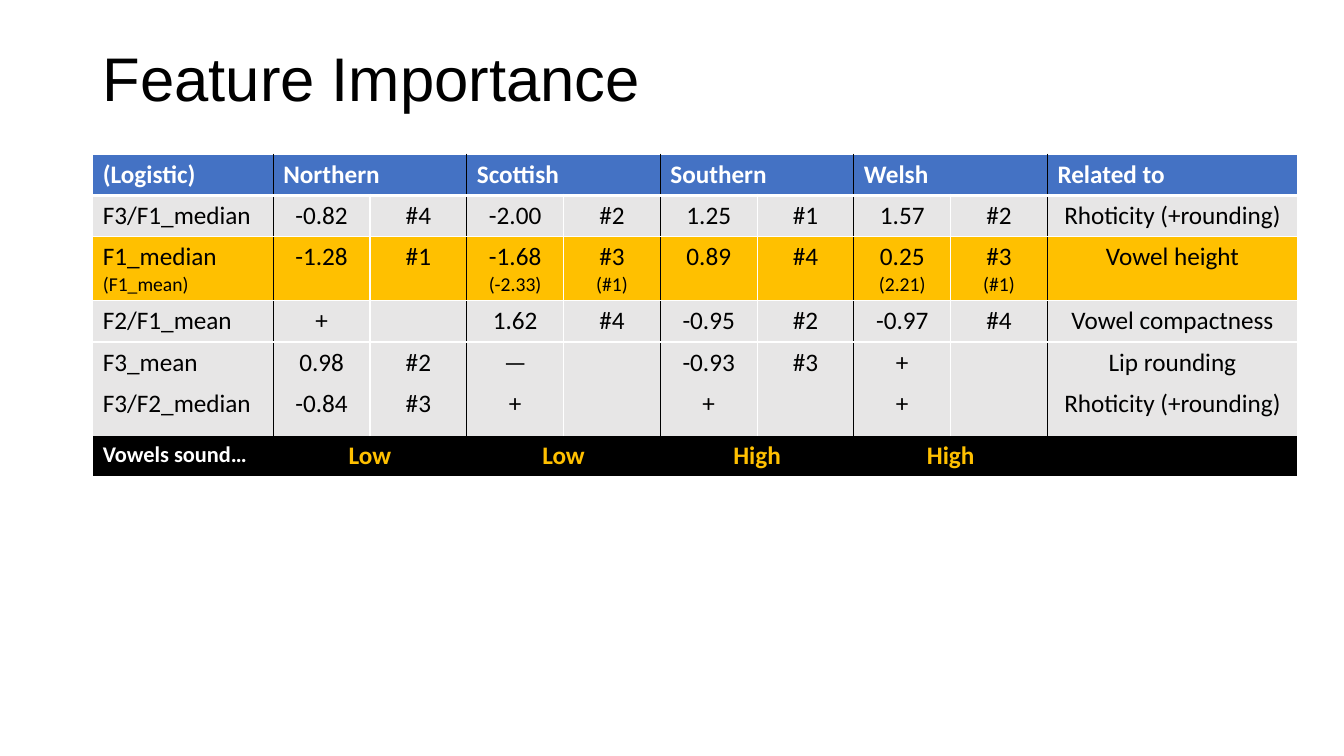
from pptx import Presentation
from pptx.dml.color import RGBColor
from pptx.enum.text import MSO_ANCHOR as Anchor, PP_ALIGN as Align
from pptx.oxml.ns import qn
from pptx.util import Inches, Pt
from lxml.etree import SubElement as Sub

BLACK, WHITE, GOLD = "000000", "FFFFFF", "FFC000"
BLUE, GREY = "4472C4", "E7E6E6"
WIDTHS = [1.79] + [0.96] * 8 + [2.48]
HEIGHTS = [0.41, 0.41, 0.63, 0.41, 0.41, 0.52, 0.41]
FILLS = [BLUE, GREY, GOLD, GREY, GREY, GREY, BLACK]
RULES = [1, 3, 1, 1, 1, 0, 0, 1]
ROWS = [
    ["(Logistic)", "Northern", "", "Scottish", "", "Southern", "", "Welsh", "",
     "Related to"],
    ["F3/F1_median", "-0.82", "#4", "-2.00", "#2", "1.25", "#1", "1.57", "#2",
     "Rhoticity (+rounding)"],
    ["F1_median\n(F1_mean)", "-1.28", "#1", "-1.68\n(-2.33)", "#3\n(#1)",
     "0.89", "#4", "0.25\n(2.21)", "#3\n(#1)", "Vowel height"],
    ["F2/F1_mean", "+", "", "1.62", "#4", "-0.95", "#2", "-0.97", "#4",
     "Vowel compactness"],
    ["F3_mean", "0.98", "#2", "—", "", "-0.93", "#3", "+", "", "Lip rounding"],
    ["F3/F2_median", "-0.84", "#3", "+", "", "+", "", "+", "",
     "Rhoticity (+rounding)"],
    ["Vowels sound…", "Low", "", "Low", "", "High", "", "High", "", ""],
]
HEAD, FOOT, END = 0, len(ROWS) - 1, len(WIDTHS) - 1


def paint(code):
    return RGBColor.from_string(code)


class Page:
    """Holds the fonts and the current slide, and adds elements to it."""

    title_font, body_font = "Arial", "Calibri"

    def __init__(self, slide):
        self.slide = slide

    def style(self, para, font, size, color, bold=False, align=Align.LEFT):
        para.alignment = align
        for run in para.runs:
            run.font.name, run.font.size = font, Pt(size)
            run.font.bold, run.font.color.rgb = bold, paint(color)

    def title(self, text, left, top, width, height):
        box = self.slide.shapes.add_textbox(
            Inches(left), Inches(top), Inches(width), Inches(height))
        frame = box.text_frame
        frame.word_wrap = True
        frame.vertical_anchor = Anchor.MIDDLE
        frame.text = text
        para = frame.paragraphs[0]
        para.line_spacing = 0.9
        self.style(para, self.title_font, 44, BLACK)

    def border(self, cell, side, color, width):
        props = cell._tc.get_or_add_tcPr()
        line = Sub(props, qn("a:ln" + side), w=str(Pt(width)))
        if width:
            fill = Sub(line, qn("a:solidFill"))
            Sub(fill, qn("a:srgbClr"), val=color)
        else:
            Sub(line, qn("a:noFill"))

    def frame(self, cell, row, col):
        pair = row in (HEAD, FOOT)
        left = BLACK if col > 0 and (pair or col % 2 == 1) else WHITE
        right = BLACK if col < END and (pair or col % 2 == 0) else WHITE
        self.border(cell, "L", left, 1)
        self.border(cell, "R", right, 1)
        self.border(cell, "T", WHITE, RULES[row])
        self.border(cell, "B", WHITE, RULES[row + 1])

    def label(self, cell, text, row, col):
        size, color, bold = 18, BLACK, row in (HEAD, FOOT)
        if row == HEAD:
            color = WHITE
        elif row == FOOT:
            size, color = (18, GOLD) if col else (16, WHITE)
        align = Align.CENTER if col and row != HEAD else Align.LEFT
        cell.text_frame.text = text
        for para in cell.text_frame.paragraphs:
            small = para.text.startswith("(") and row != HEAD
            self.style(para, self.body_font, 14 if small else size,
                       color, bold, align)

    def table(self, left, top):
        table = self.slide.shapes.add_table(
            len(ROWS), len(WIDTHS), Inches(left), Inches(top),
            Inches(sum(WIDTHS)), Inches(sum(HEIGHTS))).table
        for col, width in zip(table.columns, WIDTHS):
            col.width = Inches(width)
        for line, height in zip(table.rows, HEIGHTS):
            line.height = Inches(height)
        for row, texts in enumerate(ROWS):
            for col, text in enumerate(texts):
                cell = table.cell(row, col)
                self.frame(cell, row, col)
                cell.fill.solid()
                cell.fill.fore_color.rgb = paint(FILLS[row])
                if text:
                    self.label(cell, text, row, col)
        for row in (HEAD, FOOT):
            for col in range(1, END, 2):
                table.cell(row, col).merge(table.cell(row, col + 1))


def main():
    deck = Presentation()
    deck.slide_width, deck.slide_height = Inches(13.33), Inches(7.5)
    page = Page(deck.slides.add_slide(deck.slide_layouts[6]))
    page.title("Feature Importance", 0.92, 0.08, 11.5, 1.45)
    page.table(0.92, 1.53)
    deck.save("out.pptx")


if __name__ == "__main__":
    main()
